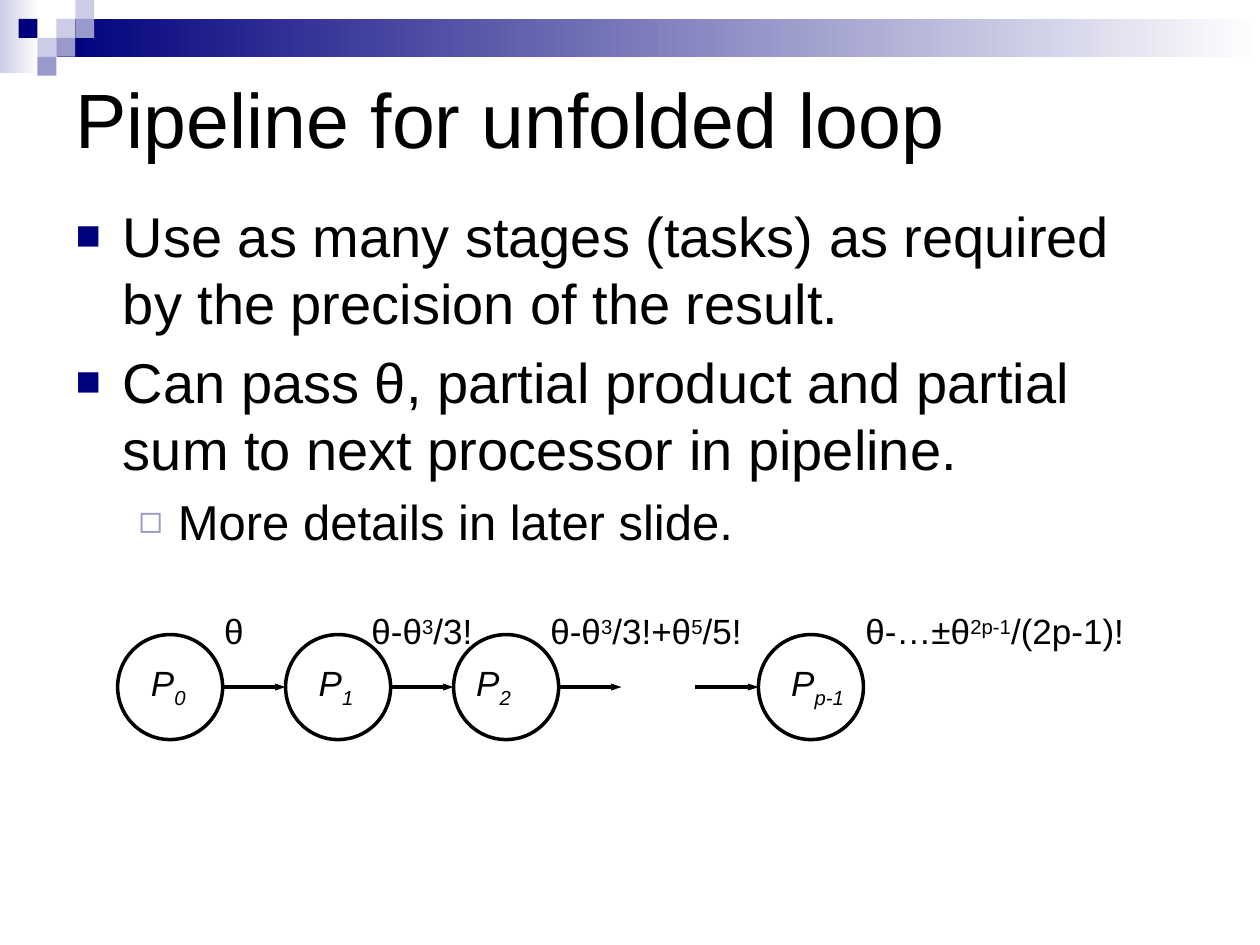
import pptx
import pptx.util
import pptx.dml.color
import pptx.enum.shapes
import pptx.enum.text
import pptx.oxml
from lxml import etree
from pptx.oxml.ns import nsdecls, qn

Pt = pptx.util.Pt
RGB = pptx.dml.color.RGBColor.from_string
SHAPE = pptx.enum.shapes.MSO_SHAPE
COLORS = {"navy": "00007D", "violet": "9999CC", "pale": "CCCCE6", "white": "FFFFFF", "black": "000000"}

presentation = pptx.Presentation()
presentation.slide_width, presentation.slide_height = Pt(720), Pt(540)
slide = presentation.slides.add_slide(presentation.slide_layouts[1])


def add_plain_shape(kind, left, top, width, height):
    shape = slide.shapes.add_shape(kind, Pt(left), Pt(top), Pt(width), Pt(height))
    shape.shadow.inherit = False
    return shape


def add_run(paragraph, text, size, baseline=0, italic=None):
    """Add black Arial text; baseline is a percentage, negative for subscript."""
    run = paragraph.add_run()
    run.text = text
    for name, value in {"name": "Arial", "size": Pt(size), "italic": italic}.items():
        setattr(run.font, name, value)
    run.font.color.rgb = RGB(COLORS["black"])
    if baseline:
        run.font._element.set("baseline", str(baseline * 1000))


# Gradient bands across the top
for left, top, width, height, color in [(0, 0, 22.3, 41.8, "pale"), (32.4, 10.8, 687.6, 21.6, "navy")]:
    band = add_plain_shape(SHAPE.RECTANGLE, left, top, width, height)
    band.line.fill.background()
    band.fill.gradient()
    band.fill.gradient_angle = 0
    for stop, stop_color, position in zip(band.fill.gradient_stops, (color, "white"), (0, 1)):
        stop.color.rgb = RGB(COLORS[stop_color])
        stop.position = position

# Corner squares as (column, row, colour)
CELL = 10.8
for column, row, color in [(2, 1, "pale"), (3, 0, "pale"), (3, 1, "violet"), (1, 2, "pale"),
                           (0, 1, "navy"), (2, 2, "violet"), (1, 3, "violet")]:
    square = add_plain_shape(SHAPE.RECTANGLE, 10.6 + column * CELL, row * CELL, CELL, CELL)
    square.fill.solid()
    square.fill.fore_color.rgb = RGB(COLORS[color])
    square.line.fill.background()

# Title and bullet list
title, body = slide.shapes.title, slide.placeholders[1]
for placeholder, top, height, anchor in [(title, 36, 62, "MIDDLE"), (body, 111.6, 376.6, "TOP")]:
    placeholder.left, placeholder.top = Pt(36), Pt(top)
    placeholder.width, placeholder.height = Pt(648), Pt(height)
    frame = placeholder.text_frame
    frame.word_wrap = True
    frame.auto_size = pptx.enum.text.MSO_AUTO_SIZE.NONE
    frame.vertical_anchor = pptx.enum.text.MSO_ANCHOR[anchor]

heading = title.text_frame.paragraphs[0]
heading.alignment = pptx.enum.text.PP_ALIGN.LEFT
add_run(heading, "Pipeline for unfolded loop", 44)

LEVELS = [
    {"size": 32, "margin": 27, "hang": 27, "bullet": "■", "color": "navy", "percent": 75},
    {"size": 28, "margin": 58.5, "hang": 22.5, "bullet": "◻", "color": "violet", "percent": 80},
]
BULLETS = [
    (0, "Use as many stages (tasks) as required by the precision of the result."),
    (0, "Can pass θ, partial product and partial sum to next processor in pipeline."),
    (1, "More details in later slide."),
]
for index, (level, text) in enumerate(BULLETS):
    style = LEVELS[level]
    paragraph = body.text_frame.add_paragraph() if index else body.text_frame.paragraphs[0]
    paragraph.level = level
    paragraph.space_before = Pt(style["size"] * 0.2)
    add_run(paragraph, text, style["size"])
    properties = paragraph._p.get_or_add_pPr()
    properties.set("marL", str(Pt(style["margin"])))
    properties.set("indent", str(-Pt(style["hang"])))
    for xml in [
        f'<a:buClr {nsdecls("a")}><a:srgbClr val="{COLORS[style["color"]]}"/></a:buClr>',
        f'<a:buSzPct {nsdecls("a")} val="{style["percent"] * 1000}"/>',
        f'<a:buFont {nsdecls("a")} typeface="Arial"/>',
        f'<a:buChar {nsdecls("a")} char="{style["bullet"]}"/>',
    ]:
        properties.append(pptx.oxml.parse_xml(xml))

# Pipeline: stages, arrows and labels
DIAMETER, GAP, FIRST_LEFT, STAGE_TOP, LAST_LEFT = 60, 36, 67.2, 362.6, 433.4
stage_lefts = [FIRST_LEFT + i * (DIAMETER + GAP) for i in range(3)] + [LAST_LEFT]
for left in stage_lefts:
    stage = add_plain_shape(SHAPE.OVAL, left, STAGE_TOP, DIAMETER, DIAMETER)
    stage.fill.background()
    stage.line.color.rgb = RGB(COLORS["black"])
    stage.line.width = Pt(2)

arrow_y = Pt(STAGE_TOP + DIAMETER / 2)
for start in [left + DIAMETER for left in stage_lefts[:3]] + [LAST_LEFT - GAP]:
    arrow = slide.shapes.add_connector(pptx.enum.shapes.MSO_CONNECTOR.STRAIGHT,
                                       Pt(start), arrow_y, Pt(start + GAP), arrow_y)
    arrow.line.color.rgb = RGB(COLORS["black"])
    arrow.line.width = Pt(2)
    etree.SubElement(arrow.line._get_or_add_ln(), qn("a:tailEnd"), type="triangle", w="sm", len="med")
    etree.SubElement(arrow._element.spPr, qn("a:effectLst"))

NAME_TOP, VALUE_TOP = 374.4, 344.9
LABELS = [
    (79.2, NAME_TOP, 42, [("P", 0), ("0", -25)]),
    (175, NAME_TOP, 42, [("P", 0), ("1", -25)]),
    (265, NAME_TOP, 42, [("P", 0), ("2", -25)]),
    (445, NAME_TOP, 54, [("P", 0), ("p-1", -25)]),
    (121, VALUE_TOP, 54, [("θ", 0)]),
    (205.2, VALUE_TOP, 72, [("θ-θ", 0), ("3", 30), ("/3!", 0)]),
    (307.4, VALUE_TOP, 126, [("θ-θ", 0), ("3", 30), ("/3!+θ", 0), ("5", 30), ("/5!", 0)]),
    (487.4, VALUE_TOP, 180, [("θ-…±θ", 0), ("2p-1", 30), ("/(2p-1)!", 0)]),
]
for left, top, width, parts in LABELS:
    label = slide.shapes.add_textbox(Pt(left), Pt(top), Pt(width), Pt(31))
    label.text_frame.word_wrap = True
    label.text_frame.auto_size = pptx.enum.text.MSO_AUTO_SIZE.SHAPE_TO_FIT_TEXT
    for text, baseline in parts:
        add_run(label.text_frame.paragraphs[0], text, 20, baseline, italic=top == NAME_TOP)

presentation.save("out.pptx")
